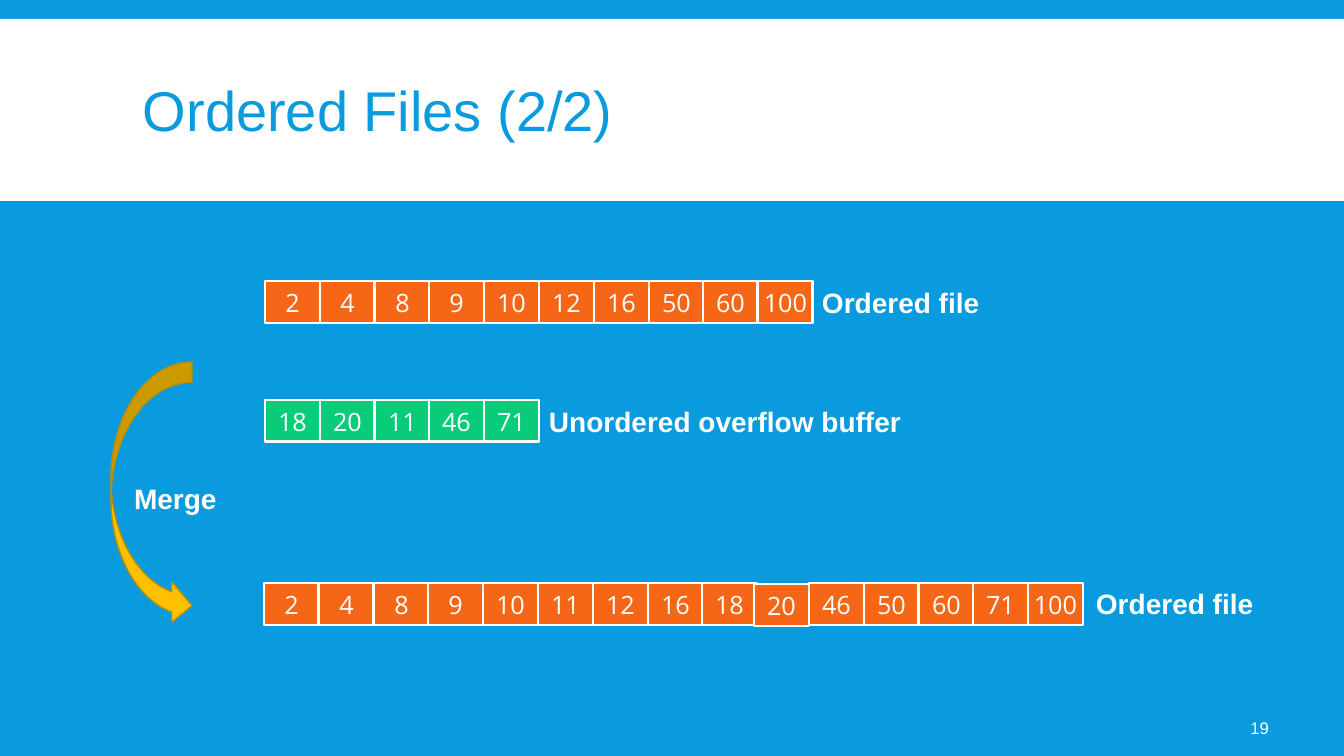
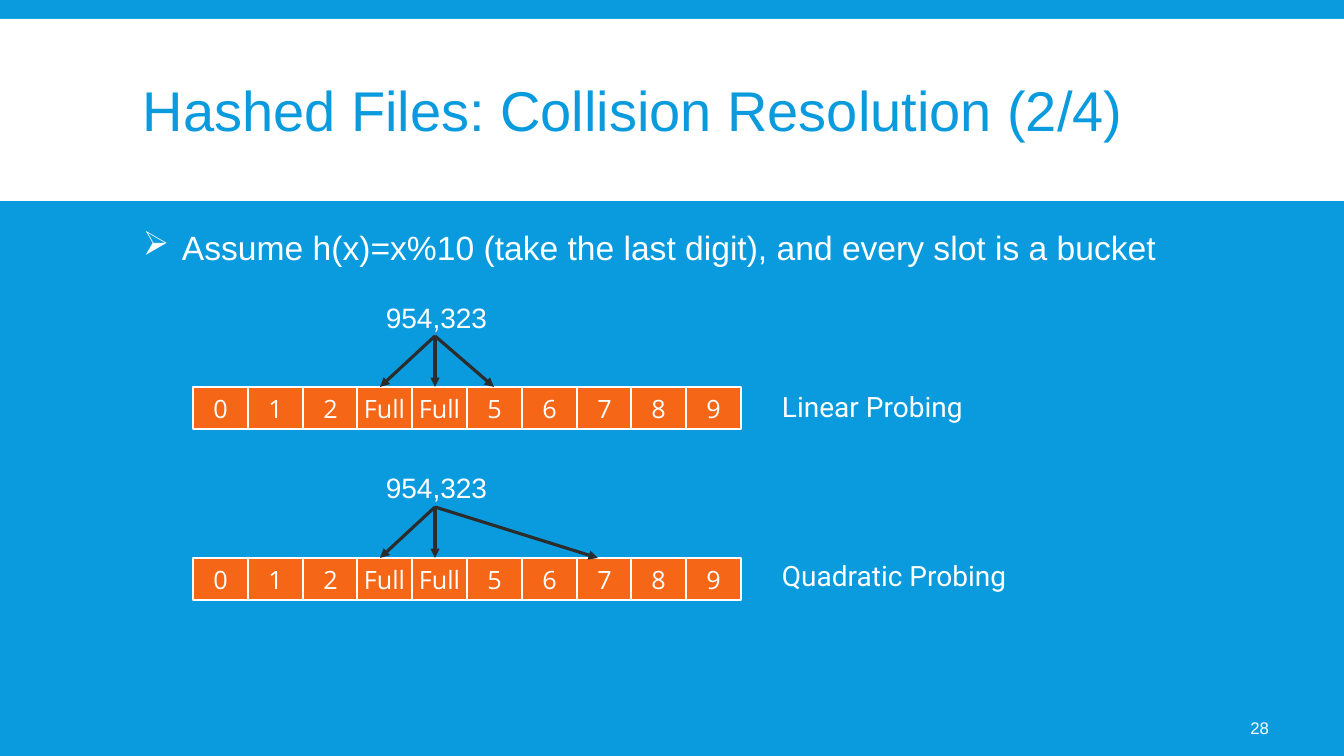
from dataclasses import dataclass

from lxml import etree
from pptx import Presentation
from pptx.dml.color import RGBColor
from pptx.enum.shapes import MSO_CONNECTOR, MSO_SHAPE
from pptx.enum.text import MSO_ANCHOR, MSO_AUTO_SIZE, PP_ALIGN
from pptx.oxml.ns import qn
from pptx.util import Emu, Pt

RECT, CURVE = MSO_SHAPE.RECTANGLE, MSO_SHAPE.CURVED_RIGHT_ARROW
LINE = MSO_CONNECTOR.STRAIGHT
LEFT, MID, RIGHT = PP_ALIGN.LEFT, PP_ALIGN.CENTER, PP_ALIGN.RIGHT
TOP, MIDDLE = MSO_ANCHOR.TOP, MSO_ANCHOR.MIDDLE
FIXED = MSO_AUTO_SIZE.NONE

# Shared look
BLUE, WHITE, ORANGE, GREEN = "099BDD", "FFFFFF", "F56617", "08CC78"
GOLD, BROWN, DARK = "FFC000", "BD8E00", "2C2C2C"
SANS, CELL, LABEL = "Arial", "Open Sans", "Roboto"
WIDE, HIGH = 1344, 756
PAD = (10, 5, 10, 5)
TIGHT = (15, 0, 15, 0)
CELL_W, CELL_H = 55, 42
FIVE = 274  # width of five cells in a row


@dataclass(frozen=True)
class Row:
    left: int
    top: int
    fill: str
    values: str


@dataclass(frozen=True)
class Note:
    box: tuple[int, int, int, int]
    words: str


@dataclass(frozen=True)
class Probe:
    name: str
    top: int
    name_top: int
    ends: tuple[int, ...]


# Helpers
def px(count: float) -> Emu:
    return Emu(round(count * 914400 / 100.8))


def color(code: str) -> RGBColor:
    return RGBColor.from_string(code)


def write(shape, words: str, *, size: int = 20, font: str = SANS,
          ink: str = WHITE, bold: bool = False, align=LEFT, anchor=TOP,
          pad=PAD, wrap: bool = True):
    """Fill a shape with one formatted paragraph and return it."""
    frame = shape.text_frame
    frame.word_wrap, frame.auto_size = wrap, FIXED
    frame.vertical_anchor = anchor
    (frame.margin_left, frame.margin_top,
     frame.margin_right, frame.margin_bottom) = map(px, pad)
    para = frame.paragraphs[0]
    para.alignment = align
    run = para.add_run()
    run.text = words
    run.font.size, run.font.name, run.font.bold = Pt(size), font, bold
    run.font.color.rgb = color(ink)
    return para


def text(slide, box, words: str, **style):
    return write(slide.shapes.add_textbox(*map(px, box)), words, **style)


def draw(slide, kind, box, fill: str, edge: str = "", width: float = 1):
    shape = slide.shapes.add_shape(kind, *map(px, box))
    shape.shadow.inherit = False
    shape.fill.solid()
    shape.fill.fore_color.rgb = color(fill)
    if edge:
        shape.line.color.rgb = color(edge)
        shape.line.width = Pt(width)
    else:
        shape.line.fill.background()
    return shape


def arrow(slide, start, end) -> None:
    line = slide.shapes.add_connector(LINE, *map(px, start + end))
    line.line.color.rgb = color(DARK)
    line.line.width = Pt(2.25)
    etree.SubElement(line.line._get_or_add_ln(), qn("a:tailEnd"),
                     type="triangle")
    etree.SubElement(line._element.spPr, qn("a:effectLst"))


def bullet(para, mark: str, indent: int) -> None:
    props = para._p.get_or_add_pPr()
    props.set("marL", str(px(indent)))
    props.set("indent", str(-px(indent)))
    tint = etree.SubElement(props, qn("a:buClr"))
    etree.SubElement(tint, qn("a:srgbClr"), val=WHITE)
    etree.SubElement(props, qn("a:buChar"), char=mark)


def cells(slide, row: Row) -> None:
    for i, value in enumerate(row.values.split()):
        left = row.left + round(i * FIVE / 5)
        cell = draw(slide, RECT, (left, row.top, CELL_W, CELL_H),
                    row.fill, WHITE, 2)
        write(cell, value, size=18, font=CELL, align=MID, anchor=MIDDLE,
              pad=TIGHT, wrap=False)


def page(deck, title: str, number: int):
    slide = deck.slides.add_slide(deck.slide_layouts[6])
    slide.background.fill.solid()
    slide.background.fill.fore_color.rgb = color(BLUE)
    draw(slide, RECT, (0, 19, WIDE, 182), WHITE)
    head = text(slide, (133, 31, 1079, 166), title, size=40, ink=BLUE,
                anchor=MIDDLE)
    head.line_spacing = 0.85
    text(slide, (1175, 708, 104, 40), str(number), size=12, align=RIGHT,
         anchor=MIDDLE, pad=(5, 5, 10, 5))
    return slide


# Ordered files
ROWS = (
    Row(265, 281, ORANGE, "2 4 8 9 10 12 16 50 60 100"),
    Row(265, 400, GREEN, "18 20 11 46 71"),
    Row(264, 583, ORANGE, "2 4 8 9 10 11 12 16 18"),
    Row(809, 583, ORANGE, "46 50 60 71 100"),
    Row(754, 584, ORANGE, "20"),
)
NOTES = (
    Note((812, 280, 178, 44), "Ordered file"),
    Note((539, 399, 375, 44), "Unordered overflow buffer"),
    Note((1086, 581, 178, 44), "Ordered file"),
    Note((124, 476, 104, 44), "Merge"),
)


def ordered(deck) -> None:
    slide = page(deck, "Ordered Files (2/2)", 19)
    draw(slide, CURVE, (111, 362, 81, 264), GOLD, BROWN)
    for row in ROWS:
        cells(slide, row)
    for note in NOTES:
        text(slide, note.box, note.words, bold=True, wrap=False)


# Hashed files
PROBES = (
    Probe("Linear Probing", 387, 385, (380, 435, 494)),
    Probe("Quadratic Probing", 558, 554, (380, 435, 598)),
)


def hashed(deck) -> None:
    slide = page(deck, "Hashed Files: Collision Resolution (2/4)", 28)
    para = text(slide, (133, 222, 1079, 464),
                "Assume h(x)=x%10 (take the last digit), "
                "and every slot is a bucket", size=24)
    para.space_before, para.space_after = Pt(12), Pt(2)
    bullet(para, "➢", 39)
    for probe in PROBES:
        cells(slide, Row(193, probe.top, ORANGE,
                         "0 1 2 Full Full 5 6 7 8 9"))
        text(slide, (352, probe.top - 87, 169, 34), "954,323", align=MID,
             pad=TIGHT)
        for end in probe.ends:
            arrow(slide, (435, probe.top - 51), (end, probe.top))
        text(slide, (772, probe.name_top, 270, 43), probe.name, font=LABEL)


deck = Presentation()
deck.slide_width, deck.slide_height = px(WIDE), px(HIGH)
ordered(deck)
hashed(deck)
deck.save("out.pptx")
